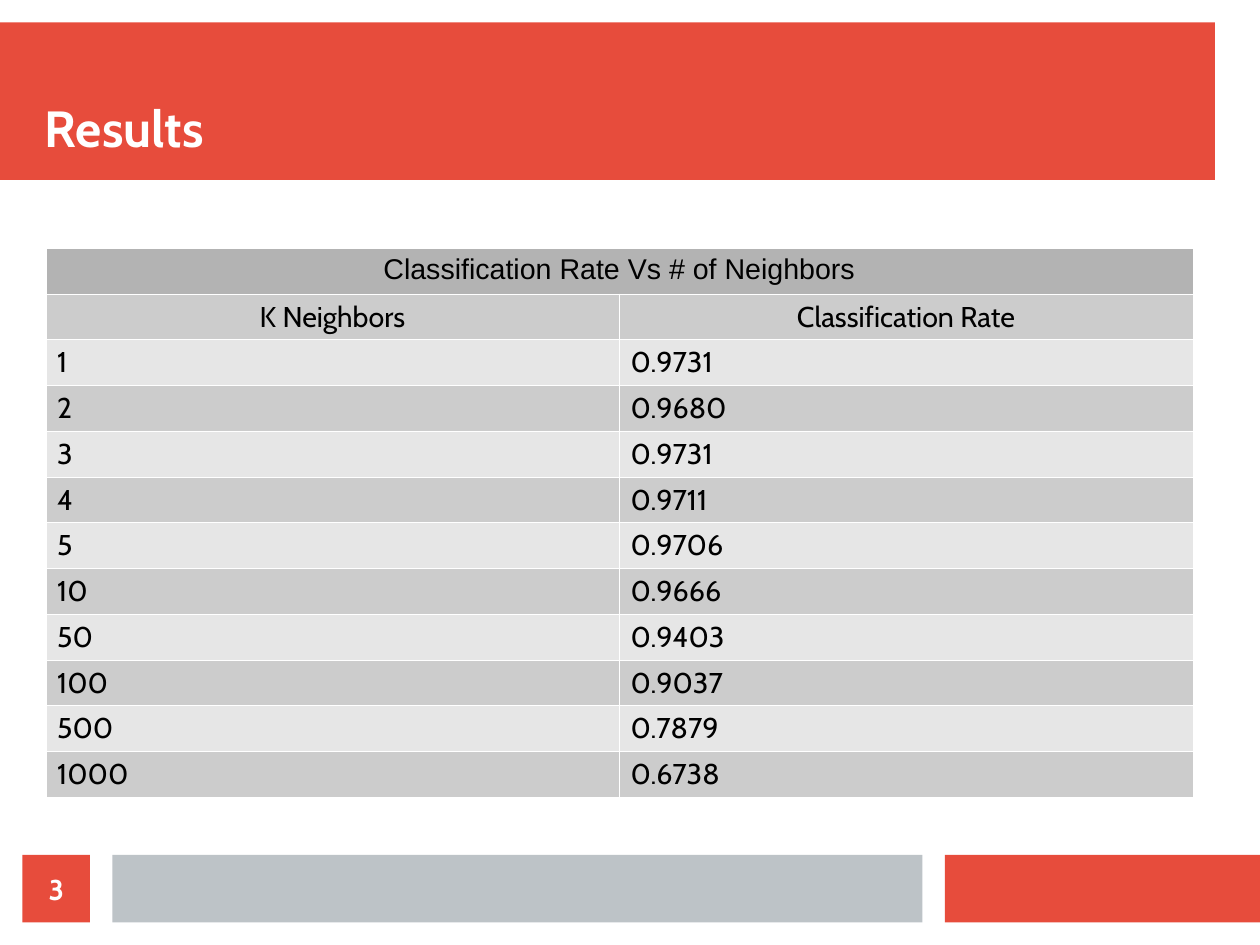
from lxml import etree
from pptx import Presentation
from pptx import util as u
from pptx.dml.color import RGBColor
from pptx.enum import shapes, text
from pptx.oxml import ns

Pt = u.Pt
COLORS = {
    "accent": "E74C3C",
    "footer": "BDC3C7",
    "heading": "B3B3B3",
    "dark_band": "CCCCCC",
    "light_band": "E6E6E6",
    "white": "FFFFFF",
    "black": "000000",
}
HEADING = "Classification Rate Vs # of Neighbors"
COLUMNS = ("K Neighbors", "Classification Rate")
RATES = (
    ("1", "0.9731"),
    ("2", "0.9680"),
    ("3", "0.9731"),
    ("4", "0.9711"),
    ("5", "0.9706"),
    ("10", "0.9666"),
    ("50", "0.9403"),
    ("100", "0.9037"),
    ("500", "0.7879"),
    ("1000", "0.6738"),
)


def rgb(color):
    return RGBColor.from_string(COLORS[color])


def write(frame, words, size, color, font="Cabin", bold=False, align=text.PP_ALIGN.LEFT):
    frame.text = words
    paragraph = frame.paragraphs[0]
    paragraph.alignment = align
    style = paragraph.runs[0].font
    style.name = font
    style.size = Pt(size)
    style.bold = bold
    style.color.rgb = rgb(color)


def clear_margins(frame):
    frame.margin_left = frame.margin_right = 0
    frame.margin_top = frame.margin_bottom = 0


def add_block(slide, left, top, width, height, color):
    block = slide.shapes.add_shape(
        shapes.MSO_SHAPE.RECTANGLE, Pt(left), Pt(top), Pt(width), Pt(height))
    block.shadow.inherit = False
    block.fill.solid()
    block.fill.fore_color.rgb = rgb(color)
    block.line.fill.background()
    return block


def add_title(slide, words):
    title = slide.shapes.add_textbox(Pt(28.35), Pt(28.35), Pt(737), Pt(70.87))
    frame = title.text_frame
    frame.word_wrap = True
    frame.vertical_anchor = text.MSO_ANCHOR.BOTTOM
    clear_margins(frame)
    write(frame, words, 32, "white", bold=True)


def add_page_number(slide, number):
    badge = add_block(slide, 14.17, 538.58, 42.52, 42.52, "accent")
    frame = badge.text_frame
    frame.vertical_anchor = text.MSO_ANCHOR.MIDDLE
    clear_margins(frame)
    write(frame, number, 18, "white", bold=True, align=text.PP_ALIGN.CENTER)


def add_borders(cell):
    properties = cell._tc.get_or_add_tcPr()
    for side in ("a:lnL", "a:lnR", "a:lnT", "a:lnB"):
        border = etree.SubElement(properties, ns.qn(side), w=str(Pt(0.06)))
        fill = etree.SubElement(border, ns.qn("a:solidFill"))
        etree.SubElement(fill, ns.qn("a:srgbClr"), val=COLORS["white"])


def style_cell(cell, color):
    add_borders(cell)
    cell.fill.solid()
    cell.fill.fore_color.rgb = rgb(color)
    cell.margin_left = cell.margin_right = Pt(7.2)
    cell.margin_top = cell.margin_bottom = Pt(3.6)


def add_rate_table(slide):
    rows = [(HEADING, ""), COLUMNS, *RATES]
    row_height = 28
    frame = slide.shapes.add_table(
        len(rows), 2, Pt(28.8), Pt(156.2), Pt(722.6), Pt(row_height * len(rows)))
    table = frame.table
    table.first_row = False
    table.horz_banding = False
    table.cell(0, 0).merge(table.cell(0, 1))
    for row, entries in enumerate(rows):
        color = "heading" if row == 0 else ("light_band", "dark_band")[row % 2]
        align = text.PP_ALIGN.CENTER if row < 2 else text.PP_ALIGN.LEFT
        font = "Arial" if row == 0 else "Cabin"
        for column, words in enumerate(entries):
            cell = table.cell(row, column)
            style_cell(cell, color)
            if words:
                write(cell.text_frame, words, 18, "black", font, align=align)


def main():
    deck = Presentation()
    deck.slide_width = Pt(793.7)
    deck.slide_height = Pt(595.3)
    slide = deck.slides.add_slide(deck.slide_layouts[6])
    add_block(slide, 0, 14.17, 765.35, 99.21, "accent")
    add_block(slide, 595.28, 538.58, 198.42, 42.52, "accent")
    add_block(slide, 70.87, 538.58, 510.24, 42.52, "footer")
    add_title(slide, "Results")
    add_rate_table(slide)
    add_page_number(slide, "3")
    deck.save("out.pptx")


if __name__ == "__main__":
    main()
